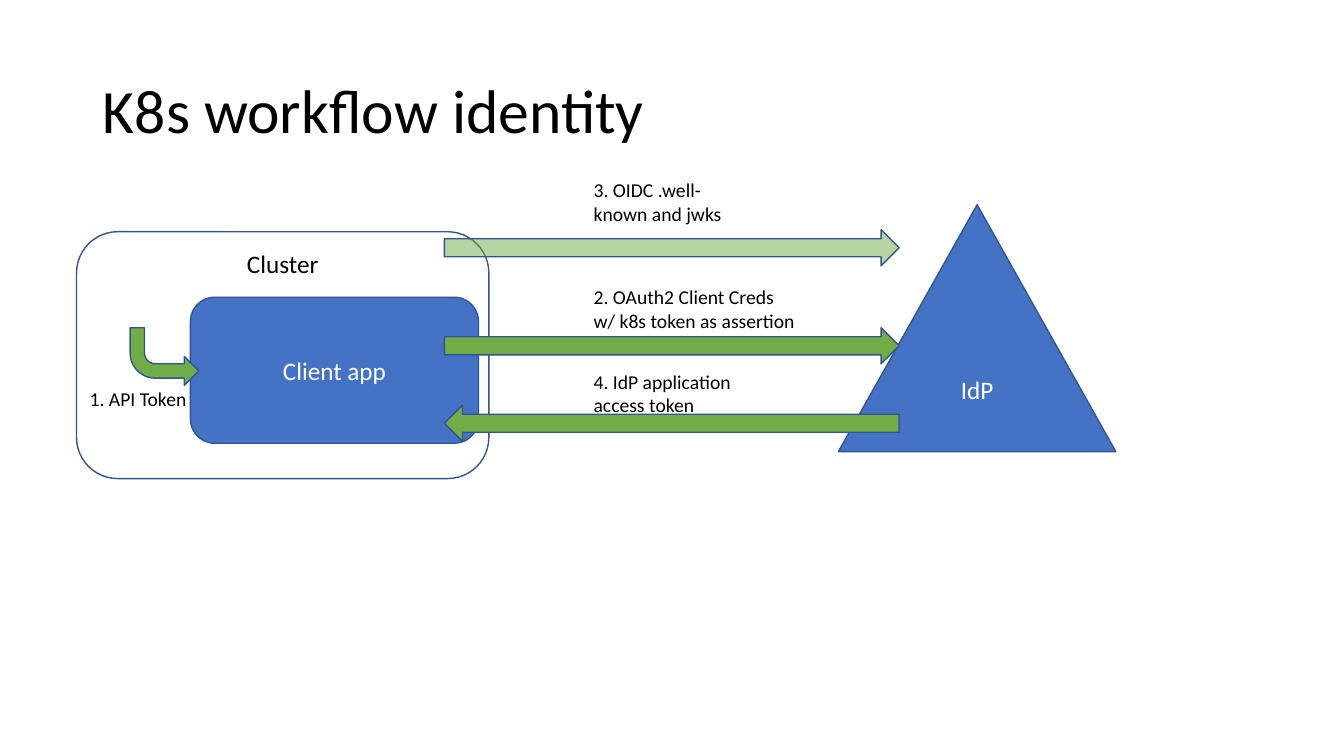
from lxml.etree import SubElement
from pptx import Presentation
from pptx.dml.color import RGBColor
from pptx.enum.shapes import MSO_SHAPE as Preset
from pptx.enum.text import MSO_ANCHOR as Anchor, MSO_AUTO_SIZE as AutoSize, PP_ALIGN as Align
from pptx.oxml.ns import qn
from pptx.util import Cm, Pt

COLORS = {"blue": "4472C4", "outline": "325491", "green": "70AD47",
          "black": "000000", "white": "FFFFFF"}
FLOW_LEFT, FLOW_WIDTH, FLOW_HEIGHT = 11.2, 11.46, 0.91
LABEL_LEFT, LABEL_HEIGHT = 14.71, 1.45


def color(name):
    return RGBColor.from_string(COLORS[name])


def write_text(frame, text, size=18, ink="black", align=Align.LEFT,
               anchor=Anchor.TOP, spacing=None):
    """Fill a text frame, one paragraph for each line of text."""
    frame.text = text
    frame.vertical_anchor = anchor
    for paragraph in frame.paragraphs:
        paragraph.alignment = align
        if spacing:
            paragraph.line_spacing = spacing
        paragraph.font.name = "Calibri"
        paragraph.font.size = Pt(size)
        paragraph.font.color.rgb = color(ink)


def add_box(slide, preset, left, top, width, height, fill=None, opacity=None):
    shape = slide.shapes.add_shape(preset, Cm(left), Cm(top), Cm(width), Cm(height))
    shape.shadow.inherit = False
    shape.line.color.rgb = color("outline")
    shape.line.width = Pt(1)
    if fill is None:
        shape.fill.background()
    else:
        shape.fill.solid()
        shape.fill.fore_color.rgb = color(fill)
    if opacity is not None:
        solid = shape.fill._xPr.find(qn("a:solidFill"))
        SubElement(solid[0], qn("a:alpha"), val=str(opacity * 1000))
    return shape


def add_label(slide, text, left, top, width, height, wrap=False):
    box = slide.shapes.add_textbox(Cm(left), Cm(top), Cm(width), Cm(height))
    write_text(box.text_frame, text, size=14)
    box.text_frame.word_wrap = wrap
    box.text_frame.auto_size = AutoSize.SHAPE_TO_FIT_TEXT


def add_flow(slide, top, rotation=0, opacity=None):
    arrow = add_box(slide, Preset.RIGHT_ARROW, FLOW_LEFT, top, FLOW_WIDTH,
                    FLOW_HEIGHT, "green", opacity)
    arrow.rotation = rotation


def add_title(slide, text):
    title = slide.shapes.title
    title.left, title.top, title.width, title.height = Cm(2.34), Cm(1.02), Cm(29.21), Cm(3.68)
    write_text(title.text_frame, text, size=44, anchor=Anchor.MIDDLE, spacing=0.9)


def main():
    presentation = Presentation()
    presentation.slide_width, presentation.slide_height = Cm(33.87), Cm(19.05)
    slide = presentation.slides.add_slide(presentation.slide_layouts[5])
    add_title(slide, "K8s workflow identity")

    # Cluster, identity provider and client app
    cluster = add_box(slide, Preset.ROUNDED_RECTANGLE, 1.93, 5.84, 10.39, 6.22)
    write_text(cluster.text_frame, "Cluster", align=Align.CENTER)
    provider = add_box(slide, Preset.ISOSCELES_TRIANGLE, 21.13, 5.16, 6.99, 6.22, "blue")
    client = add_box(slide, Preset.ROUNDED_RECTANGLE, 4.8, 7.49, 7.26, 3.68, "blue")
    for shape, name in ((provider, "IdP"), (client, "Client app")):
        write_text(shape.text_frame, name, ink="white", align=Align.CENTER,
                   anchor=Anchor.MIDDLE)

    # Token handed to the client app
    token_arrow = add_box(slide, Preset.BENT_ARROW, 3.28, 8.26, 1.73, 1.45, "green")
    token_arrow.rotation = 180
    token_arrow._element.spPr.xfrm.set("flipH", "1")
    add_label(slide, "1. API Token", 2.01, 9.63, 2.97, 0.86)

    # Exchanges between the cluster and the identity provider
    add_flow(slide, 8.26)
    add_label(slide, "2. OAuth2 Client Creds\nw/ k8s token as assertion",
              LABEL_LEFT, 7.06, 5.64, LABEL_HEIGHT)
    add_flow(slide, 5.79, opacity=50)
    add_label(slide, "3. OIDC .well-known and jwks",
              LABEL_LEFT, 4.37, 4.47, LABEL_HEIGHT, wrap=True)
    add_flow(slide, 10.21, rotation=180)
    add_label(slide, "4. IdP application\naccess token",
              LABEL_LEFT, 9.19, 4.37, LABEL_HEIGHT)

    presentation.save("out.pptx")


if __name__ == "__main__":
    main()
